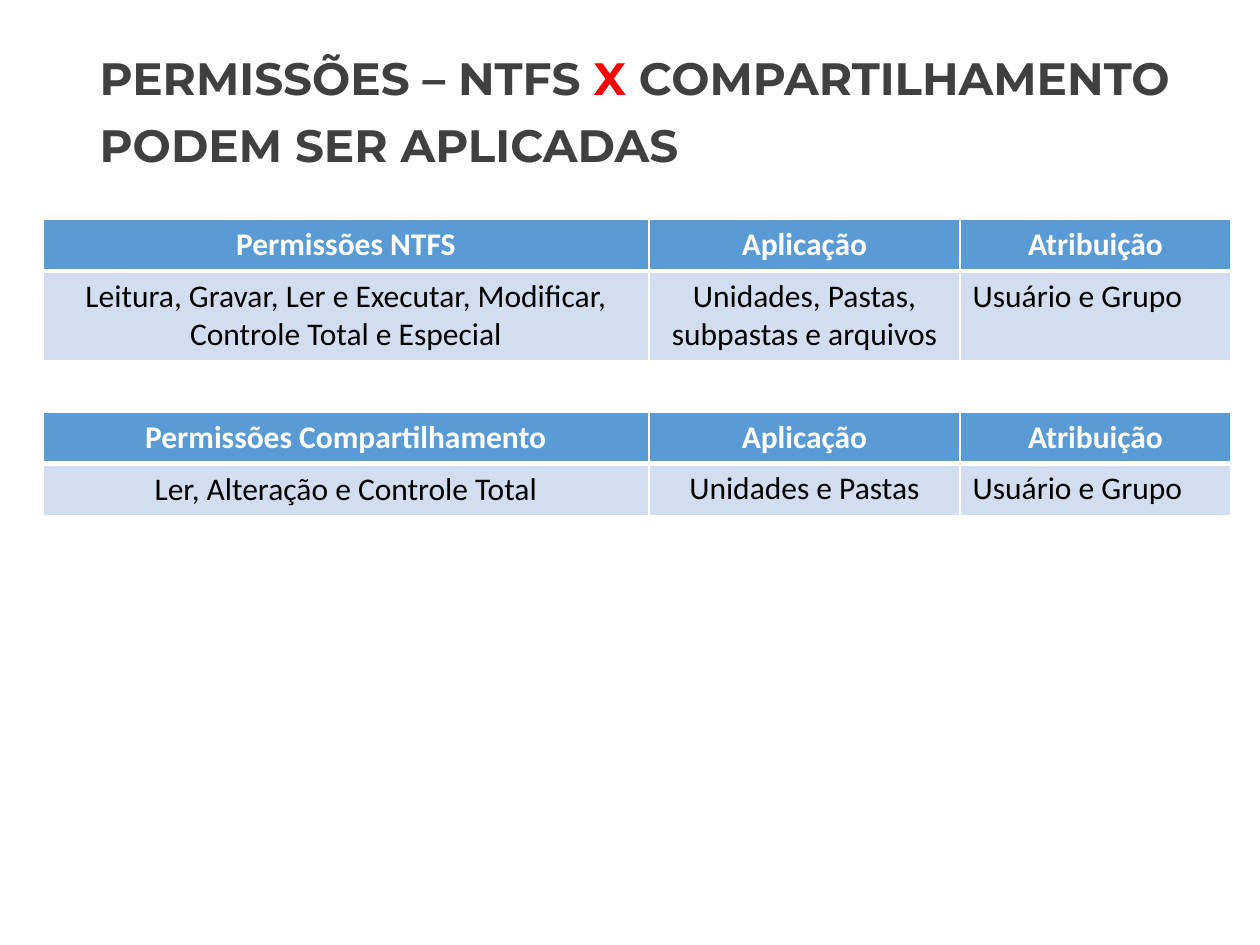
import pptx
import pptx.dml.color
import pptx.enum.text
import pptx.oxml.ns
import pptx.util
from lxml import etree

Inches, Pt = pptx.util.Inches, pptx.util.Pt
RGBColor = pptx.dml.color.RGBColor
Align = pptx.enum.text.PP_ALIGN
Anchor = pptx.enum.text.MSO_ANCHOR
qn = pptx.oxml.ns.qn

WHITE = RGBColor(0xFF, 0xFF, 0xFF)
BLACK = RGBColor(0, 0, 0)
GRAY = RGBColor(0x40, 0x40, 0x40)
RED = RGBColor(0xFF, 0, 0)
BLUE = RGBColor(0x5B, 0x9B, 0xD5)
PALE_BLUE = RGBColor(0xD2, 0xDE, 0xEF)

TITLE = [
    [("PERMISSÕES – NTFS ", GRAY), ("X", RED), (" COMPARTILHAMENTO", GRAY)],
    [("PODEM SER APLICADAS", GRAY)],
]
# Top, row heights, rows
TABLES = [
    (1.74, (0.41, 0.7), [
        ("Permissões NTFS", "Aplicação", "Atribuição"),
        ("Leitura, Gravar, Ler e Executar, Modificar, Controle Total e Especial",
         "Unidades, Pastas, subpastas e arquivos", "Usuário e Grupo"),
    ]),
    (3.27, (0.41, 0.41), [
        ("Permissões Compartilhamento", "Aplicação", "Atribuição"),
        ("Ler, Alteração e Controle Total", "Unidades e Pastas", "Usuário e Grupo"),
    ]),
]
TABLE_LEFT = 0.34
COLUMNS = (4.81, 2.47, 2.15)


def add_span(para, text, font, size, color, bold):
    span = para.add_run()
    span.text = text
    span.font.name = font
    span.font.size = Pt(size)
    span.font.bold = bold
    span.font.color.rgb = color


def set_borders(cell, top, bottom):
    """Draw white cell borders; top and bottom are widths in points."""
    properties = cell._tc.get_or_add_tcPr()
    for side, width in (("L", 1), ("R", 1), ("T", top), ("B", bottom)):
        line = etree.SubElement(properties, qn(f"a:ln{side}"), w=str(Pt(width)))
        fill = etree.SubElement(line, qn("a:solidFill"))
        etree.SubElement(fill, qn("a:srgbClr"), val=str(WHITE))


def fill_title(box):
    box.left, box.top = Inches(0.69), Inches(0.4)
    box.width, box.height = Inches(9.08), Inches(1.34)
    frame = box.text_frame
    frame.word_wrap = True
    frame.auto_size = pptx.enum.text.MSO_AUTO_SIZE.NONE
    frame.vertical_anchor = Anchor.TOP
    for index, spans in enumerate(TITLE):
        para = frame.add_paragraph() if index else frame.paragraphs[0]
        para.alignment = Align.LEFT
        para.line_spacing = 0.9
        para.space_before = Pt(10 if index else 0)
        for text, color in spans:
            add_span(para, text, "Montserrat", 25.9, color, True)


def add_permission_table(page, top, heights, rows):
    table = page.shapes.add_table(
        len(rows), len(COLUMNS), Inches(TABLE_LEFT), Inches(top),
        Inches(sum(COLUMNS)), Inches(sum(heights))).table
    for column, width in zip(table.columns, COLUMNS):
        column.width = Inches(width)
    for row, height in zip(table.rows, heights):
        row.height = Inches(height)
    for r, texts in enumerate(rows):
        header = r == 0
        for c, text in enumerate(texts):
            cell = table.cell(r, c)
            set_borders(cell, 1 if header else 3, 3 if header else 1)
            cell.fill.solid()
            cell.fill.fore_color.rgb = BLUE if header else PALE_BLUE
            first_body = not header and c == 0
            cell.vertical_anchor = Anchor.MIDDLE if first_body else Anchor.TOP
            para = cell.text_frame.paragraphs[0]
            para.alignment = Align.CENTER if header or c < 2 else Align.LEFT
            add_span(para, text, "Calibri", 18, WHITE if header else BLACK, header)


def main():
    deck = pptx.Presentation()
    deck.slide_width, deck.slide_height = Inches(10), Inches(7.5)
    page = deck.slides.add_slide(deck.slide_layouts[5])
    fill_title(page.shapes.title)
    for top, heights, rows in TABLES:
        add_permission_table(page, top, heights, rows)
    deck.save("out.pptx")


if __name__ == "__main__":
    main()
